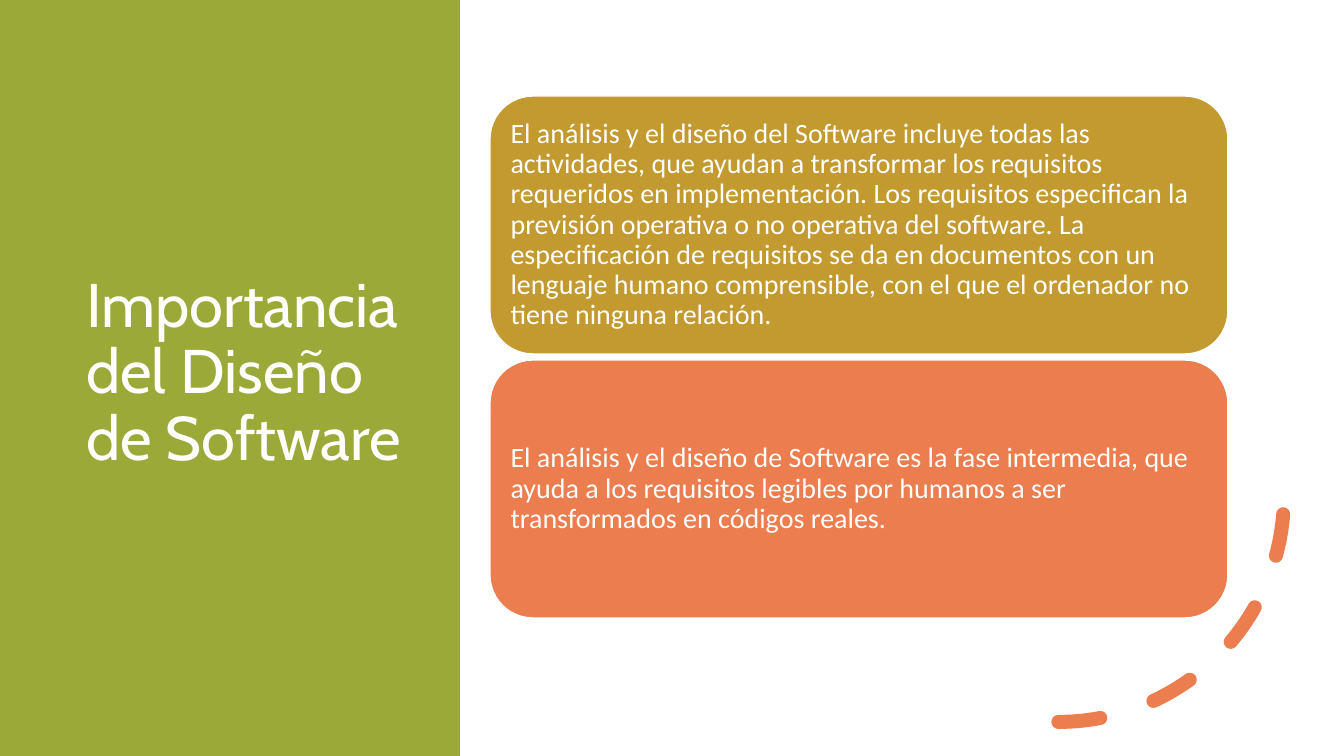
import pptx
import pptx.dml.color
import pptx.enum.dml
import pptx.enum.shapes
import pptx.enum.text
import pptx.oxml.ns
import pptx.util
from lxml import etree

RGBColor = pptx.dml.color.RGBColor
SHAPE = pptx.enum.shapes.MSO_SHAPE
WHITE = RGBColor(0xFF, 0xFF, 0xFF)
GREEN = RGBColor(0x9A, 0xA9, 0x38)
GOLD = RGBColor(0xC3, 0x9A, 0x30)
ORANGE = RGBColor(0xEB, 0x7D, 0x4E)

TITLE = "Importancia del Diseño de Software"
CARDS = [
    (GOLD, "El análisis y el diseño del Software incluye todas las actividades, "
           "que ayudan a transformar los requisitos requeridos en implementación. "
           "Los requisitos especifican la previsión operativa o no operativa del software. "
           "La especificación de requisitos se da en documentos con un lenguaje humano "
           "comprensible, con el que el ordenador no tiene ninguna relación."),
    (ORANGE, "El análisis y el diseño de Software es la fase intermedia, que ayuda a los "
             "requisitos legibles por humanos a ser transformados en códigos reales."),
]

SLIDE_WIDTH, SLIDE_HEIGHT = 1344, 756
PANEL_WIDTH = 460
TITLE_BOX = (76, 66, 353, 616)
CARD_LEFT, CARD_TOP, CARD_WIDTH, CARD_HEIGHT = 490, 96, 738, 258
CARD_GAP = 6
CARD_INSET = 8
ARC_BOX = (833, 271, 451, 451)
EMU_PER_PX = 12192000 / SLIDE_WIDTH


def px(length):
    return pptx.util.Emu(round(length * EMU_PER_PX))


def add_filled_shape(slide, kind, box, color):
    shape = slide.shapes.add_shape(kind, *map(px, box))
    shape.shadow.inherit = False
    shape.fill.solid()
    shape.fill.fore_color.rgb = color
    shape.line.fill.background()
    return shape


def write_text(frame, text, font_name, size):
    frame.word_wrap = True
    frame.auto_size = pptx.enum.text.MSO_AUTO_SIZE.NONE
    frame.vertical_anchor = pptx.enum.text.MSO_ANCHOR.MIDDLE
    para = frame.paragraphs[0]
    para.alignment = pptx.enum.text.PP_ALIGN.LEFT
    para.line_spacing = 0.9
    span = para.add_run()
    span.text = text
    span.font.name = font_name
    span.font.size = pptx.util.Pt(size)
    span.font.color.rgb = WHITE


def add_title(slide):
    title = slide.shapes.title
    title.left, title.top, title.width, title.height = map(px, TITLE_BOX)
    write_text(title.text_frame, TITLE, "Cabin", 44)


def add_card(slide, index, color, text):
    top = CARD_TOP + index * (CARD_HEIGHT + CARD_GAP)
    card = add_filled_shape(slide, SHAPE.ROUNDED_RECTANGLE,
                            (CARD_LEFT, top, CARD_WIDTH, CARD_HEIGHT), color)
    card.line.color.rgb = WHITE
    card.line.width = pptx.util.Pt(1)
    frame = card.text_frame
    frame.margin_left = frame.margin_right = px(CARD_INSET)
    frame.margin_top = frame.margin_bottom = px(CARD_INSET)
    write_text(frame, text, "Calibri", 20)


def add_dashed_arc(slide):
    """Quarter arc with round dashes, flipped to run from the bottom to the right."""
    arc = slide.shapes.add_shape(SHAPE.ARC, *map(px, ARC_BOX))
    arc.shadow.inherit = False
    arc.fill.background()
    arc.line.color.rgb = ORANGE
    arc.line.width = pptx.util.Pt(10)
    arc.line.dash_style = pptx.enum.dml.MSO_LINE.DASH
    properties = arc.element.spPr
    properties.find(pptx.oxml.ns.qn("a:xfrm")).set("flipV", "1")
    line = properties.find(pptx.oxml.ns.qn("a:ln"))
    line.set("cap", "rnd")
    etree.SubElement(line, pptx.oxml.ns.qn("a:round"))


def main():
    deck = pptx.Presentation()
    deck.slide_width, deck.slide_height = px(SLIDE_WIDTH), px(SLIDE_HEIGHT)
    slide = deck.slides.add_slide(deck.slide_layouts.get_by_name("Title Only"))
    slide.background.fill.solid()
    slide.background.fill.fore_color.rgb = WHITE
    panel = add_filled_shape(slide, SHAPE.RECTANGLE,
                             (0, 0, PANEL_WIDTH, SLIDE_HEIGHT), GREEN)
    add_title(slide)
    slide.shapes.title.element.addprevious(panel.element)
    for index, (color, text) in enumerate(CARDS):
        add_card(slide, index, color, text)
    add_dashed_arc(slide)
    deck.save("out.pptx")


if __name__ == "__main__":
    main()
